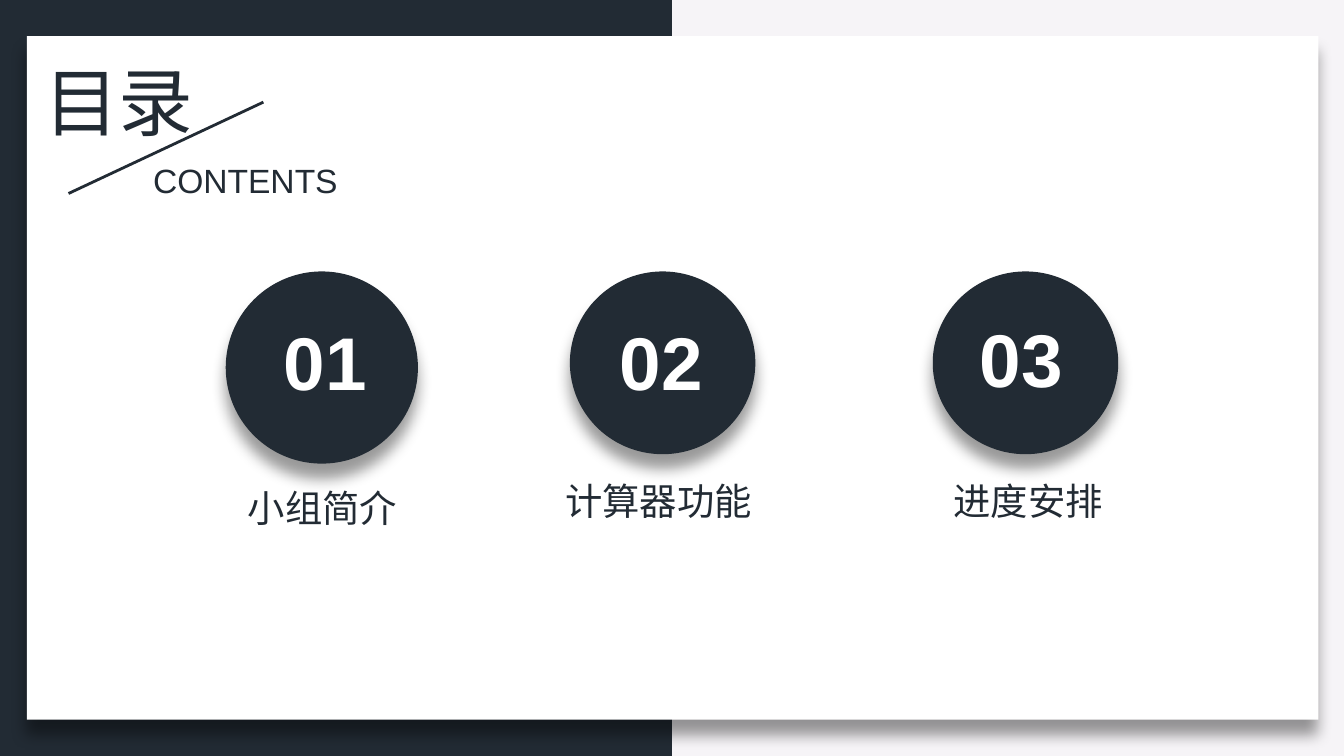
from lxml import etree
from pptx import Presentation
from pptx.dml.color import RGBColor
from pptx.enum import shapes, text
from pptx.oxml.ns import qn
from pptx.util import Inches, Pt

COLORS = {"dark": "222B34", "pale": "F6F4F7", "white": "FFFFFF", "shadow": "000000"}
LATIN, CHINESE = "Arial", "Noto Sans CJK SC"

# number, label, circle box, number box, label box (the last two relative to the circle)
ITEMS = [
    ("01", "小组简介", (1.68, 2.02, 1.43, 1.43), (0.22, 0.28, 1.04), (0.03, 1.54, 1.38)),
    ("02", "计算器功能", (4.24, 2.02, 1.38, 1.36), (0.18, 0.28, 1), (-0.14, 1.49, 1.6)),
    ("03", "进度安排", (6.94, 2.02, 1.38, 1.36), (0.16, 0.26, 1), (0.02, 1.49, 1.38)),
]


def color(name):
    return RGBColor.from_string(COLORS[name])


def add_shadow(shape):
    """Soft shadow straight below the shape."""
    effects = shape._element.spPr.find(qn("a:effectLst"))
    shadow = etree.SubElement(effects, qn("a:outerShdw"), blurRad=str(Pt(8)),
                              dist=str(Pt(8)), dir="5400000", algn="t", rotWithShape="0")
    tint = etree.SubElement(shadow, qn("a:srgbClr"), val=COLORS["shadow"])
    etree.SubElement(tint, qn("a:alpha"), val="40000")


def add_block(slide, kind, box, fill, shadow=False):
    shape = slide.shapes.add_shape(kind, *map(Inches, box))
    shape.fill.solid()
    shape.fill.fore_color.rgb = color(fill)
    shape.line.fill.background()
    shape.shadow.inherit = False
    if shadow:
        add_shadow(shape)


def add_text(slide, content, box, size, font=LATIN, fill="dark", bold=False,
             centered=False, wrap=True):
    frame = slide.shapes.add_textbox(*map(Inches, box)).text_frame
    frame.word_wrap = wrap
    frame.auto_size = text.MSO_AUTO_SIZE.SHAPE_TO_FIT_TEXT
    paragraph = frame.paragraphs[0]
    paragraph.alignment = text.PP_ALIGN.CENTER if centered else text.PP_ALIGN.LEFT
    run = paragraph.add_run()
    run.text = content
    run.font.size = Pt(size)
    run.font.bold = bold
    run.font.name = font
    run.font.color.rgb = color(fill)
    etree.SubElement(run.font._element, qn("a:ea"), typeface=CHINESE)


def add_backdrop(slide, width, height):
    """Two-tone background with a white card on top."""
    slide.background.fill.solid()
    slide.background.fill.fore_color.rgb = color("pale")
    rectangle = shapes.MSO_SHAPE.RECTANGLE
    add_block(slide, rectangle, (0, 0, width / 2, height), "dark")
    add_block(slide, rectangle, (0.2, 0.27, width - 0.39, height - 0.54), "white", shadow=True)


def add_heading(slide, left, top):
    """Title and subtitle on either side of a slanted line."""
    add_text(slide, "目录", (left, top, 1.32, 0.77), 40, font="Calibri", wrap=False)
    ends = (left + 1.73, top + 0.39, left + 0.28, top + 1.07)
    line = slide.shapes.add_connector(shapes.MSO_CONNECTOR.STRAIGHT, *map(Inches, ends))
    line.line.color.rgb = color("dark")
    line.line.width = Pt(1.5)
    etree.SubElement(line._element.spPr, qn("a:effectLst"))
    add_text(slide, "CONTENTS", (left + 0.81, top + 0.77, 1.59, 0.4), 18, wrap=False)


def add_item(slide, number, label, circle, number_box, label_box):
    """Numbered circle with its label underneath."""
    left, top = circle[:2]

    def place(box, height):
        return left + box[0], top + box[1], box[2], height

    add_block(slide, shapes.MSO_SHAPE.OVAL, circle, "dark", shadow=True)
    add_text(slide, label, place(label_box, 0.44), 20, font=CHINESE, centered=True)
    add_text(slide, number, place(number_box, 0.77), 40, fill="white", bold=True, centered=True)


def main():
    width = 10
    height = width * 9 / 16
    presentation = Presentation()
    presentation.slide_width = Inches(width)
    presentation.slide_height = Inches(height)
    slide = presentation.slides.add_slide(presentation.slide_layouts[6])
    add_backdrop(slide, width, height)
    add_heading(slide, 0.23, 0.37)
    for item in ITEMS:
        add_item(slide, *item)
    presentation.save("out.pptx")


if __name__ == "__main__":
    main()
